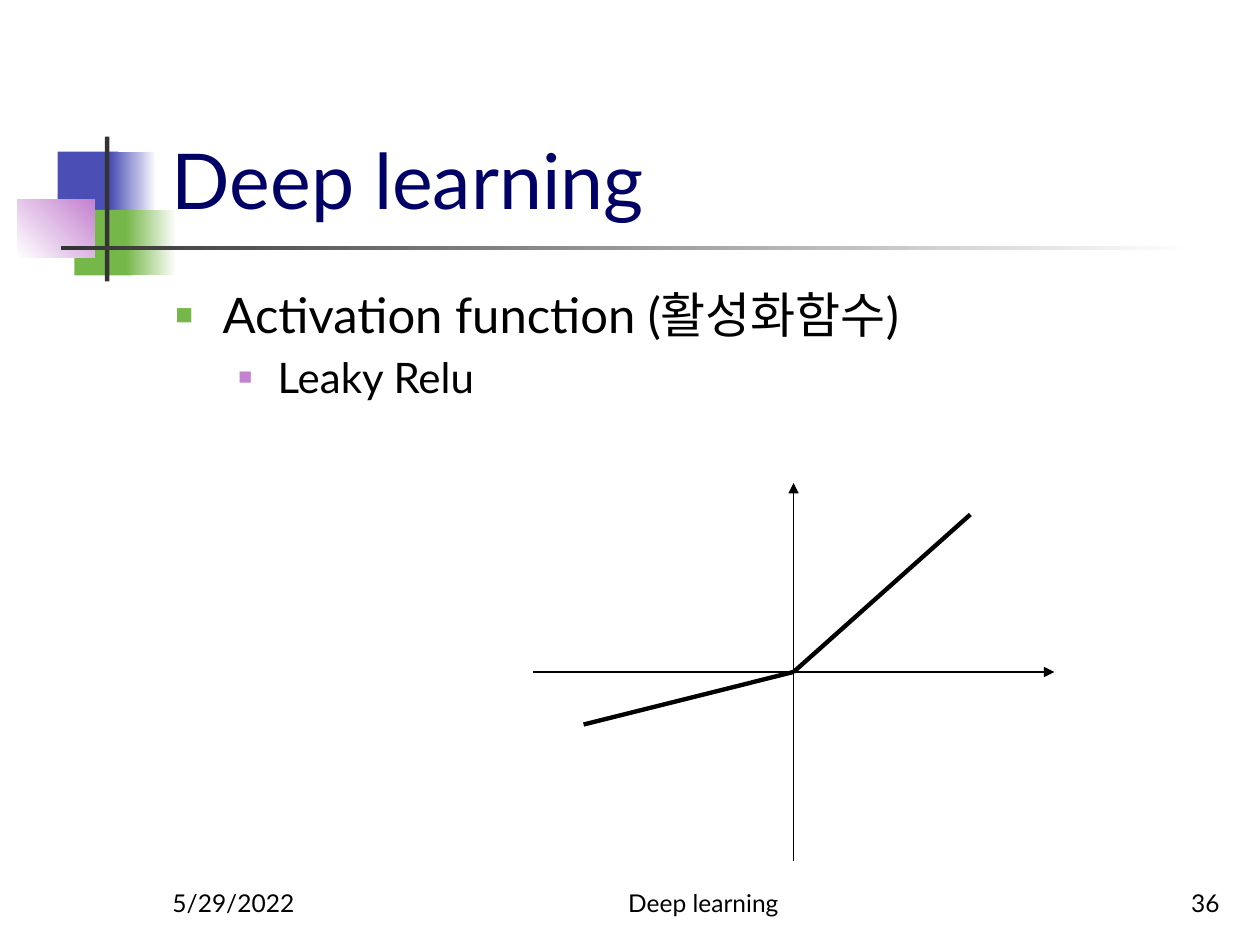
from lxml import etree
from pptx import Presentation
from pptx.dml.color import RGBColor
from pptx.enum.shapes import MSO_CONNECTOR, MSO_SHAPE
from pptx.enum.text import MSO_ANCHOR, MSO_AUTO_SIZE, PP_ALIGN
from pptx.oxml.ns import qn
from pptx.util import Pt

RECT = MSO_SHAPE.RECTANGLE
STRAIGHT = MSO_CONNECTOR.STRAIGHT
LEFT, CENTER, RIGHT = PP_ALIGN.LEFT, PP_ALIGN.CENTER, PP_ALIGN.RIGHT
TOP, BOTTOM = MSO_ANCHOR.TOP, MSO_ANCHOR.BOTTOM

FONT = "Lato"
COLORS = {
    "blue": "4B4EB5",
    "green": "76B749",
    "violet": "C481CF",
    "gray": "333333",
    "navy": "000066",
    "black": "000000",
    "white": "FFFFFF",
}


def rgb(name):
    return RGBColor.from_string(COLORS[name])


def add_block(slide, box, start, end=None, angle=0):
    """Borderless rectangle, solid or fading from start to end."""
    sp = slide.shapes.add_shape(RECT, *map(Pt, box))
    sp.shadow.inherit = False
    sp.line.fill.background()
    if end is None:
        sp.fill.solid()
        sp.fill.fore_color.rgb = rgb(start)
        return
    sp.fill.gradient()
    sp.fill.gradient_angle = angle
    for stop, name in zip(sp.fill.gradient_stops, (start, end)):
        stop.color.rgb = rgb(name)


def add_ornament(slide, x, y):
    """Overlapping squares with a cross of two bars."""
    add_block(slide, (x + 23, y + 8.6, 34.5, 37.4), "blue")
    add_block(slide, (x + 53.3, y + 8.6, 26, 37.4), "blue", "white")
    add_block(slide, (x + 32.5, y + 42, 33, 37.4), "green")
    add_block(slide, (x + 62, y + 42, 28.8, 37.4), "green", "white")
    add_block(slide, (x, y + 36, 44, 33.1), "white", "violet", 45)
    add_block(slide, (x + 50, y, 2.5, 82.8), "gray")
    add_block(slide, (x + 24.7, y + 62.4, 648, 2.5), "gray", "white")


def place(sp, box, anchor):
    sp.left, sp.top, sp.width, sp.height = map(Pt, box)
    tf = sp.text_frame
    tf.word_wrap = True
    tf.auto_size = MSO_AUTO_SIZE.NONE
    tf.vertical_anchor = anchor
    return tf


def add_text(p, text, size, color="black", align=LEFT):
    p.alignment = align
    r = p.add_run()
    r.text = text
    r.font.name = FONT
    r.font.size = Pt(size)
    r.font.color.rgb = rgb(color)


def set_bullet(p, color, percent, margin, hanging):
    pPr = p._p.get_or_add_pPr()
    pPr.set("marL", str(Pt(margin)))
    pPr.set("indent", str(-Pt(hanging)))
    clr = etree.SubElement(pPr, qn("a:buClr"))
    etree.SubElement(clr, qn("a:srgbClr"), val=COLORS[color])
    etree.SubElement(pPr, qn("a:buSzPct"), val=str(percent * 1000))
    etree.SubElement(pPr, qn("a:buChar"), char="■")


def fill_title(slide, box):
    tf = place(slide.shapes.title, box, BOTTOM)
    add_text(tf.paragraphs[0], "Deep learning", 44, "navy")


def fill_body(slide, box):
    tf = place(slide.placeholders[1], box, TOP)
    p = tf.paragraphs[0]
    set_bullet(p, "green", 60, 27, 27)
    p.space_before = Pt(0)
    add_text(p, "Activation function (활성화함수)", 28)

    p = tf.add_paragraph()
    p.level = 1
    set_bullet(p, "violet", 55, 58.5, 22.5)
    p.space_before = Pt(4.8)
    add_text(p, "Leaky Relu", 24)


def add_footer(slide, x, y, width, height):
    side, middle = 150, 228
    cells = [
        ("5/29/2022", x, side, LEFT),
        ("Deep learning", x + 196.5, middle, CENTER),
        ("36", x + width - side, side, RIGHT),
    ]
    for text, left, cell_width, align in cells:
        sp = slide.shapes.add_textbox(0, 0, 0, 0)
        tf = place(sp, (left, y, cell_width, height), BOTTOM)
        add_text(tf.paragraphs[0], text, 14, align=align)


def add_line(slide, start, end, weight, arrow=False):
    line = slide.shapes.add_connector(STRAIGHT, *map(Pt, (*start, *end)))
    line.line.color.rgb = rgb("black")
    line.line.width = Pt(weight)
    if arrow:
        etree.SubElement(line.line._get_or_add_ln(), qn("a:tailEnd"), type="triangle")
    etree.SubElement(line._element.spPr, qn("a:effectLst"))


def add_leaky_relu_plot(slide, x, y, width, height):
    """Axes crossing in the middle of the box, with the two-slope graph."""
    cx, cy = x + width / 2, y + height / 2
    origin = (cx, cy)
    add_line(slide, (x, cy), (x + width, cy), 0.75, arrow=True)
    add_line(slide, (cx, y + height), (cx, y), 0.75, arrow=True)
    add_line(slide, origin, (cx + 101, cy - 90), 2.5)
    add_line(slide, origin, (cx - 120, cy + 30), 2.5)


def main():
    prs = Presentation()
    prs.slide_width, prs.slide_height = Pt(720), Pt(540)
    slide = prs.slides.add_slide(prs.slide_layouts[1])
    add_ornament(slide, 10, 78)
    fill_title(slide, (91, 16.5, 613.5, 115.5))
    fill_body(slide, (93, 159, 612, 324))
    add_footer(slide, 91.5, 492, 612.5, 36)
    add_leaky_relu_plot(slide, 304.5, 276, 298, 216)
    prs.save("out.pptx")


if __name__ == "__main__":
    main()
